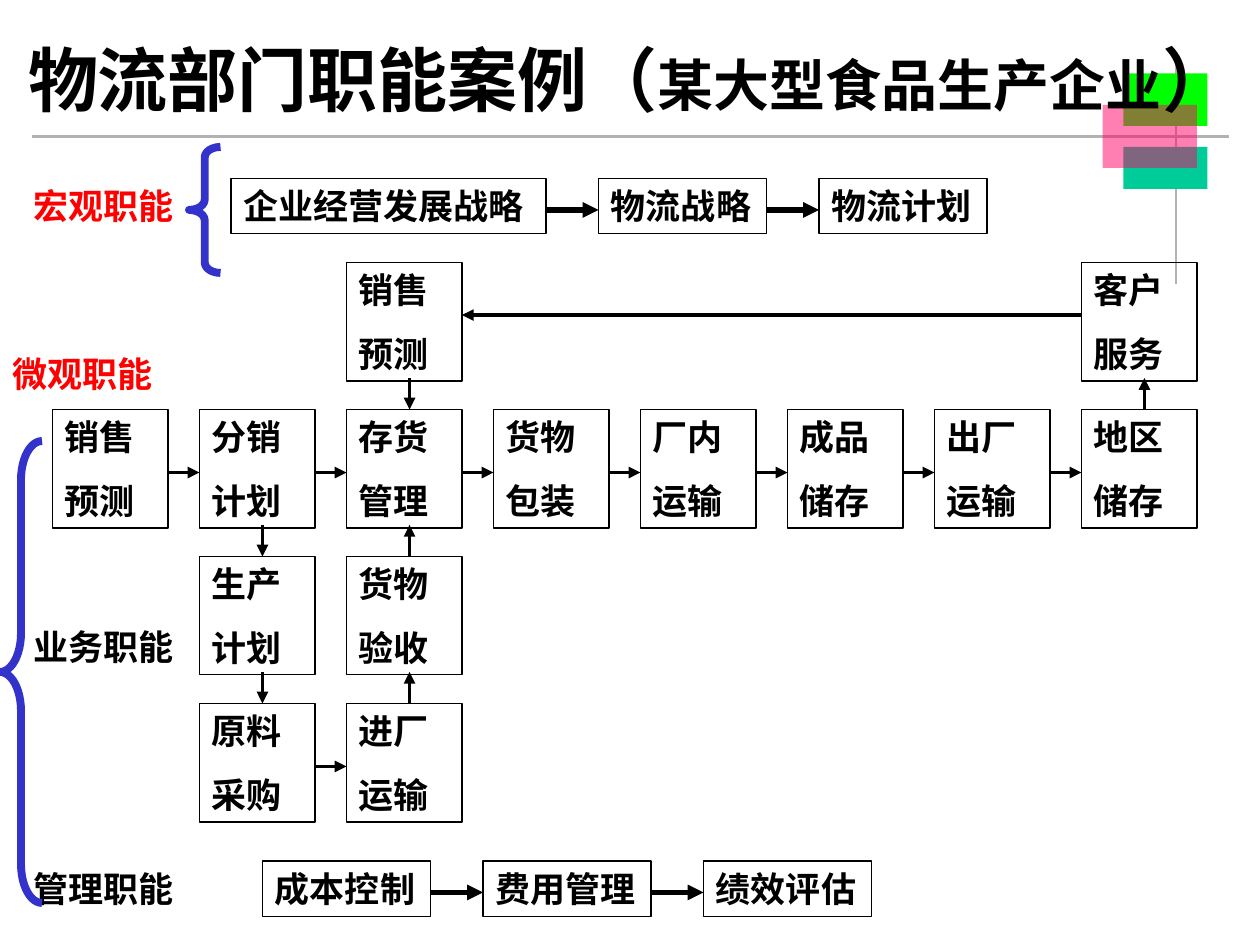
from lxml import etree
from pptx import Presentation
from pptx import util as u
from pptx.dml.color import RGBColor
from pptx.enum import shapes, text
from pptx.oxml.ns import qn

deck = Presentation()
deck.slide_width, deck.slide_height = u.Inches(10), u.Inches(7.5)
slide = deck.slides.add_slide(deck.slide_layouts[5])
items = slide.shapes
rgb = RGBColor.from_string
rect = shapes.MSO_SHAPE.RECTANGLE

# The whole page sits on a grid of 120 columns by 90 rows.
unit = deck.slide_width // 120
step = 14   # from one process box to the next, across and down
left, top = 5, 39   # first process box
wide, tall, low = 11, 11.28, 5.28


def line(x1, y1, x2, y2, size, color="000000", arrow=True):
    ends = [int(v * unit) for v in (x1, y1, x2, y2)]
    link = items.add_connector(shapes.MSO_CONNECTOR.STRAIGHT, *ends)
    link.line.width = u.Pt(size)
    link.line.fill.solid()
    link.line.fill.fore_color.rgb = rgb(color)
    props = link.element.spPr
    etree.SubElement(props, qn("a:effectLst"))
    if arrow:
        etree.SubElement(props.find(qn("a:ln")), qn("a:tailEnd"), type="triangle")


def box(x, y, w, h, words, color="000000", frame=True):
    """Add a left-aligned text cell, outlined when frame is set."""
    area = [int(v * unit) for v in (x, y, w, h)]
    if frame:
        cell = items.add_shape(rect, *area)
        cell.shadow.inherit = False
        cell.fill.background()
        cell.line.fill.solid()
        cell.line.fill.fore_color.rgb = rgb("000000")
        cell.line.width = u.Pt(0.75)
    else:
        cell = items.add_textbox(*area)
    body = cell.text_frame
    body.text = words
    body.word_wrap = True
    body.auto_size = text.MSO_AUTO_SIZE.SHAPE_TO_FIT_TEXT
    body.vertical_anchor = text.MSO_ANCHOR.TOP
    for n, para in enumerate(body.paragraphs):
        para.alignment = text.PP_ALIGN.LEFT
        para.space_before = u.Pt(12.5 if n else 0)
        font = para.runs[0].font
        font.name, font.size, font.bold = "Times New Roman", u.Pt(20), True
        font.color.rgb = rgb(color)


# Rules and colour blocks behind the title
line(3, 13, 117, 13, 2.25, "B2B2B2", False)
line(112, 5, 112, 27, 0.75, "B2B2B2", False)
for x, y, w, h, color, alpha in [
    (107, 7, 8, 5, "00FF00", 100),
    (107, 14, 8, 4, "00CC99", 100),
    (105, 10, 9, 6, "FF0066", 50),
]:
    block = items.add_shape(rect, x * unit, y * unit, w * unit, h * unit)
    block.shadow.inherit = False
    block.line.fill.background()
    block.fill.solid()
    block.fill.fore_color.rgb = rgb(color)
    if alpha < 100:
        tint = block.element.spPr.find(qn("a:solidFill"))[0]
        etree.SubElement(tint, qn("a:alpha"), val=str(alpha * 1000))

# Title, lifted above the blocks
title = items.title
items.element.append(title.element)
title.left, title.top = 0, 3 * unit
title.width, title.height = 120 * unit, 9 * unit
head = title.text_frame
head.auto_size = text.MSO_AUTO_SIZE.NONE
head.word_wrap = True
head.vertical_anchor = text.MSO_ANCHOR.MIDDLE
para = head.paragraphs[0]
para.alignment = text.PP_ALIGN.CENTER
for words, size in [("物流部门职能案例（", 40), ("某大型食品生产企业", 32), ("）", 40)]:
    run = para.add_run()
    run.text = words
    run.font.name, run.font.size, run.font.bold = "Times New Roman", u.Pt(size), True
    run.font.color.rgb = rgb("000000")

# Strategy chain above, management chain below
for x, y, chain in [
    (22, 17, [("企业经营发展战略", 30), ("物流战略", 16), ("物流计划", 16)]),
    (25, 82, [("成本控制", 16), ("费用管理", 16), ("绩效评估", 16)]),
]:
    for n, (words, w) in enumerate(chain):
        if n:
            line(x - 5, y + 3, x, y + 3, 3)
        box(x, y, w, low, words)
        x += w + 5

# Process boxes by row and column
rows = {
    -1: {2: "销售\n预测", 7: "客户\n服务"},
    0: dict(enumerate([
        "销售\n预测", "分销\n计划", "存货\n管理", "货物\n包装",
        "厂内\n运输", "成品\n储存", "出厂\n运输", "地区\n储存",
    ])),
    1: {1: "生产\n计划", 2: "货物\n验收"},
    2: {1: "原料\n采购", 2: "进厂\n运输"},
}
for row, cells in rows.items():
    for col, words in cells.items():
        box(left + step * col, top + step * row, wide, tall, words)

# Arrows to the right: column and row of the box they leave
for col, row in [(c, 0) for c in range(7)] + [(1, 2)]:
    x, y = left + step * col + wide, top + step * row + 6
    line(x, y, x + 3, y, 2.25)

# Arrows in the gap below a row, pointing down or up
for col, row, down in [(1, 0, True), (1, 1, True), (2, -1, True),
                       (2, 0, False), (2, 1, False), (7, -1, False)]:
    x, y = left + step * col + 6, top + step * row + wide
    line(x, y if down else y + 3, x, y + 3 if down else y, 2.25)

# Feedback from customer service to the forecast
line(left + step * 7, 30, left + step * 2 + wide, 30, 2.25)

# Group labels and braces
for x, y, words, color in [
    (2, 82, "管理职能", "000000"),
    (2, 59, "业务职能", "000000"),
    (2, 17, "宏观职能", "FF0000"),
    (0, 33, "微观职能", "FF0000"),
]:
    box(x, y, 16, low, words, color, False)

for x, y, w, h, curve in [(18, 14, 3, 12, 0.33), (0, 42, 4, 44, 0.92)]:
    brace = items.add_shape(shapes.MSO_SHAPE.LEFT_BRACE,
                            x * unit, y * unit, w * unit, h * unit)
    brace.adjustments[0] = curve
    brace.shadow.inherit = False
    brace.fill.background()
    brace.line.fill.solid()
    brace.line.fill.fore_color.rgb = rgb("3333CC")
    brace.line.width = u.Pt(4.5)

deck.save("out.pptx")
